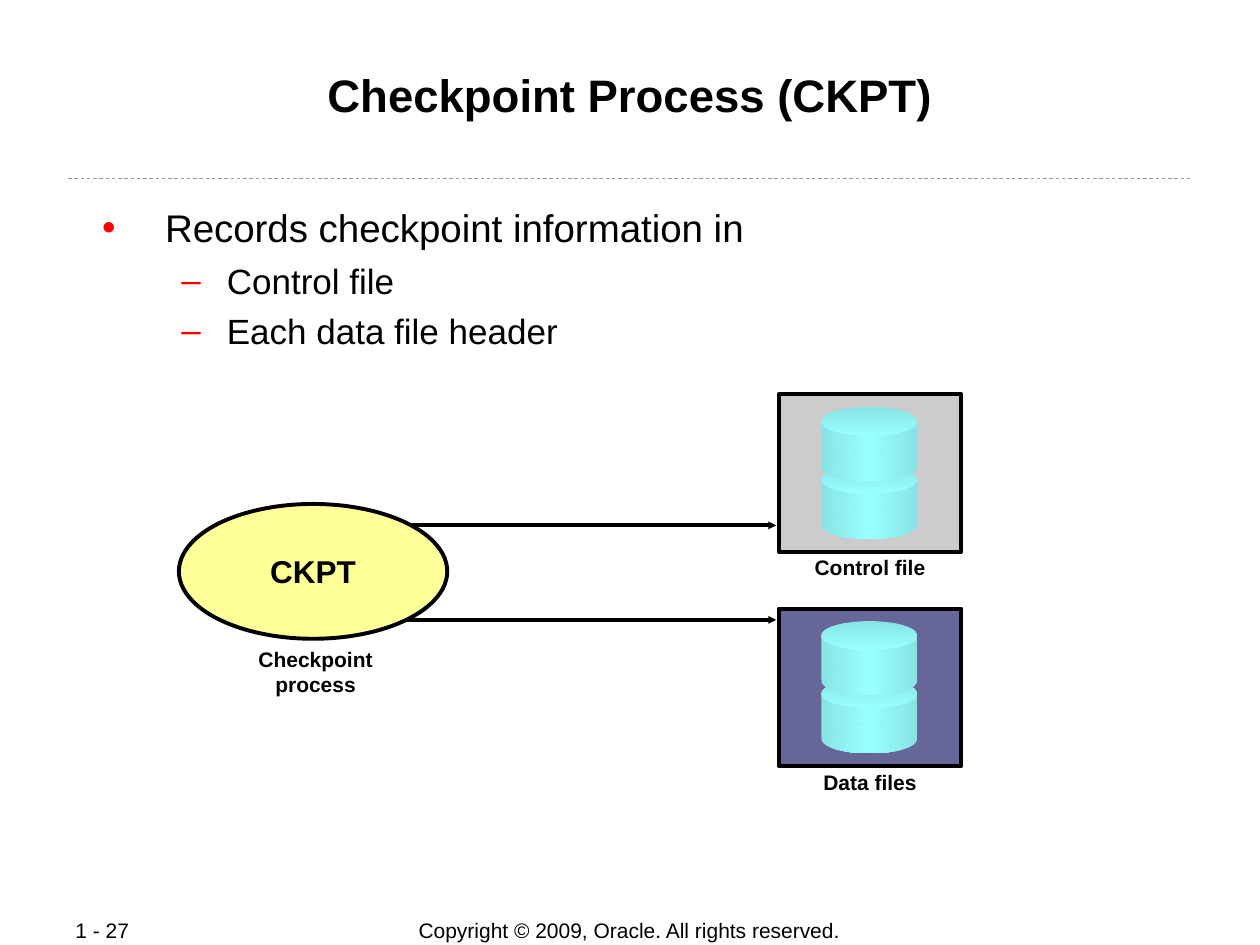
import lxml.etree
import pptx
import pptx.dml.color
import pptx.enum.dml
import pptx.enum.shapes
import pptx.enum.text
import pptx.oxml.ns
import pptx.util

SHAPE = pptx.enum.shapes.MSO_SHAPE
ALIGN = pptx.enum.text.PP_ALIGN
ANCHOR = pptx.enum.text.MSO_ANCHOR
STRAIGHT = pptx.enum.shapes.MSO_CONNECTOR.STRAIGHT
rgb = pptx.dml.color.RGBColor.from_string
qn = pptx.oxml.ns.qn
Pt = pptx.util.Pt

deck = pptx.Presentation()
deck.slide_width = pptx.util.Inches(10)
deck.slide_height = pptx.util.Inches(7.5)
slide = deck.slides.add_slide(deck.slide_layouts[1])
shapes = slide.shapes
column = deck.slide_width // 100
row = deck.slide_height // 75


def grid(*lengths):
    """Turn alternating column and row counts into slide lengths."""
    return [round(n * (row if i % 2 else column)) for i, n in enumerate(lengths)]


def write(frame, text, size, bold=False, align=ALIGN.CENTER, wrap=True, anchor=ANCHOR.TOP):
    frame.text = text
    frame.word_wrap = wrap
    frame.auto_size = pptx.enum.text.MSO_AUTO_SIZE.NONE
    frame.vertical_anchor = anchor
    for paragraph in frame.paragraphs:
        paragraph.alignment = align
        paragraph.space_before = Pt(0)
        for run in paragraph.runs:
            run.font.name = "Arial"
            run.font.size = Pt(size)
            run.font.bold = bold
            run.font.color.rgb = rgb("000000")


# Title and list
title, body = shapes.title, slide.placeholders[1]
for holder, top, height, inset in ((title, 4.8, 9.6, 0.5), (body, 15.8, 19.1, 0.4)):
    holder.left, holder.top, holder.width, holder.height = grid(6.7, top, 86.6, height)
    frame = holder.text_frame
    frame.margin_left = frame.margin_right = frame.margin_bottom = column // 10
    frame.margin_top = round(inset * row)

write(title.text_frame, "Checkpoint Process (CKPT)", 26, bold=True)
write(body.text_frame, "Records checkpoint information in\nControl file\nEach data file header",
      22, align=ALIGN.LEFT)
for number, item in enumerate(body.text_frame.paragraphs):
    detail = number > 0
    item.level = 2 if detail else 1
    properties = item._p.get_or_add_pPr()
    properties.set("marL", str(round((11.2 if detail else 6.3) * column)))
    properties.set("indent", str(round((-3.6 if detail else -5) * column)))
    bullet_colour = lxml.etree.SubElement(properties, qn("a:buClr"))
    lxml.etree.SubElement(bullet_colour, qn("a:srgbClr"), val="FF0000")
    lxml.etree.SubElement(properties, qn("a:buFont"), typeface="Arial")
    lxml.etree.SubElement(properties, qn("a:buChar"), char="–" if detail else "•")
    if detail:
        item.space_before = Pt(5)
        item.runs[0].font.size = Pt(20)

# Footer
for text, left, width, align in (
    ("Copyright © 2009, Oracle. All rights reserved.", 27.5, 44.9, ALIGN.CENTER),
    ("1 - 27", 5, 10.6, ALIGN.LEFT),
):
    footer = shapes.add_textbox(*grid(left, 72.8, width, 2.1))
    write(footer.text_frame, text, 12, align=align, wrap=False, anchor=ANCHOR.MIDDLE)

# Rule under the title, and arrows from the process to the files
for left, right, level, colour, weight in (
    (5.4, 94.6, 14.2, "999999", 0.5),
    (31.7, 61.6, 41.7, "000000", 2.25),
    (31.7, 61.6, 49.2, "000000", 2.25),
):
    rule = shapes.add_connector(STRAIGHT, *grid(left, level, right, level))
    rule.line.color.rgb = rgb(colour)
    rule.line.width = Pt(weight)
    lxml.etree.SubElement(rule._element.spPr, qn("a:effectLst"))
    if weight < 1:
        rule.line.dash_style = pptx.enum.dml.MSO_LINE.DASH
    else:
        lxml.etree.SubElement(rule.line._get_or_add_ln(), qn("a:tailEnd"),
                              type="triangle", w="sm", len="sm")

# Captions
for text, left, top, height in (
    ("Checkpoint process", 19.2, 50.8, 5),
    ("Data files", 63.2, 60.6, 3),
    ("Control file", 63.2, 43.5, 3),
):
    caption = shapes.add_textbox(*grid(left, top, 11.7, height))
    write(caption.text_frame, text, 12, bold=True)

# File panels, each with two stacked cylinders, then the process
across = ("88E4E4", "99FFFF", "88E4E4")
downward = ("88E4E4", "99FFFF")
cylinder_parts = (
    (SHAPE.RECTANGLE, 1.2, 3.5, across, 180),
    (SHAPE.OVAL, 0, 2.3, downward, 270),
    (SHAPE.OVAL, 3.6, 2.3, across, 180),
)
for kind, left, top, width, height, colour in (
    (SHAPE.RECTANGLE, 61.8, 31.3, 14.5, 12.5, "CCCCCC"),
    (SHAPE.RECTANGLE, 61.8, 48.3, 14.5, 12.5, "666699"),
    (SHAPE.OVAL, 14.2, 40, 21.3, 10.7, "FFFF99"),
):
    node = shapes.add_shape(kind, *grid(left, top, width, height))
    node.shadow.inherit = False
    node.fill.solid()
    node.fill.fore_color.rgb = rgb(colour)
    node.line.color.rgb = rgb("000000")
    node.line.width = Pt(2.25)
    if kind == SHAPE.OVAL:
        write(node.text_frame, "CKPT", 18, bold=True, wrap=False, anchor=ANCHOR.MIDDLE)
        continue
    for cylinder_top in (top + 5.6, top + 1):
        for outline, drop, depth, colours, angle in cylinder_parts:
            part = shapes.add_shape(outline, *grid(65.2, cylinder_top + drop, 7.6, depth))
            part.shadow.inherit = False
            part.line.fill.background()
            part.fill.gradient()
            part.fill.gradient_angle = angle
            stops = part._element.spPr.find(".//" + qn("a:gsLst"))
            stops[:] = []
            for position, shade in enumerate(colours):
                share = 100000 * position // (len(colours) - 1)
                stop = lxml.etree.SubElement(stops, qn("a:gs"), pos=str(share))
                lxml.etree.SubElement(stop, qn("a:srgbClr"), val=shade)

deck.save("out.pptx")
